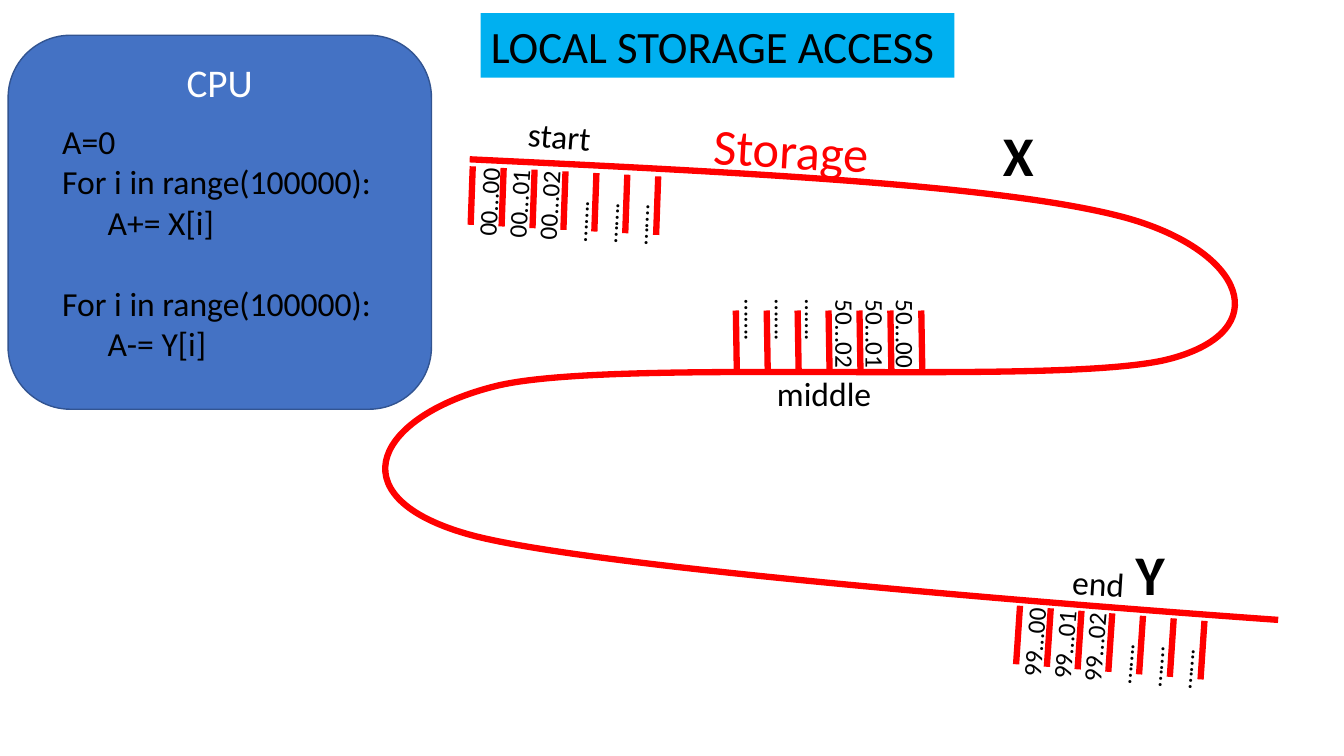
from dataclasses import dataclass

from pptx import Presentation
from pptx.dml.color import RGBColor
from pptx.enum import shapes as kinds, text as txt
from pptx.oxml import parse_xml
from pptx.oxml.ns import nsdecls
from pptx.util import Pt


@dataclass(frozen=True)
class Theme:
    font: str = "Calibri"
    ink: str = "000000"
    white: str = "FFFFFF"
    red: str = "FF0000"
    blue: str = "4472C4"
    edge: str = "325491"
    cyan: str = "00B0F0"
    cell: int = 18
    body: int = 24
    head: int = 28
    title: int = 32
    store: int = 36
    mark: int = 40
    band: float = 4.5


T = Theme()


def rgb(code):
    return RGBColor.from_string(code)


def write(para, words, size, color=T.ink, bold=False):
    run = para.add_run()
    run.text = words
    run.font.name = T.font
    run.font.size = Pt(size)
    run.font.bold = bold
    run.font.color.rgb = rgb(color)


def place(shape, box):
    shape.left, shape.top, shape.width, shape.height = (Pt(v) for v in box)


def label(parent, box, lines, size, color=T.ink, bold=False, turn=0, wrap=True):
    """Add a text box with one paragraph for each line."""
    item = parent.add_textbox(*(Pt(v) for v in box))
    item.rotation = turn
    frame = item.text_frame
    frame.word_wrap = wrap
    for n, words in enumerate(lines):
        para = frame.add_paragraph() if n else frame.paragraphs[0]
        write(para, words, size, color, bold)
    return frame


def stroke(parent, start, end):
    line = parent.add_connector(kinds.MSO_CONNECTOR.STRAIGHT,
                                *(Pt(v) for v in (*start, *end)))
    line.line.color.rgb = rgb(T.red)
    line.line.width = Pt(T.band)
    line._element.spPr.append(parse_xml(f"<a:effectLst {nsdecls('a')}/>"))


# Knots and handles of the storage band, from its box corner
BAND = [(65.5, 41.8),
        (259.2, 51.1), (452.9, 60.5), (536.4, 84.2),
        (619.2, 108), (641.5, 164.2), (565.9, 184.3),
        (490.3, 204.5), (168.5, 182.9), (84.2, 203.8),
        (0, 224.6), (-31, 281.5), (61.9, 308.9),
        (154.8, 337), (643, 370.8), (643, 370.8)]
BEND = (5, 262)  # leftmost point of the band

# Captions: words, box, size, color, turn
NAMES = [("Storage", (232.6, 10.1, 159, 51), T.store, T.red, 3.4),
         ("start", (100.1, 7.2, 61.2, 36), T.body, T.ink, 4.7),
         ("end", (488.9, 328.3, 108, 36), T.body, T.ink, 3.7),
         ("middle", (277.9, 190.8, 108, 36), T.body, T.ink, 0)]

# Cells: prefix, list corner, turn, first tick start and end, step
CELLS = [("00", (112.3, -4.3), 273.3, (66.2, 88.6), (67.7, 46.8), (22.08, 1.2)),
         ("50", (279.4, 87.1), 90, (255.6, 149.8), (256.3, 191.5), (22.08, 0)),
         ("99", (501.8, 311.8), 274.8, (455.8, 402.5), (458.6, 360.7), (21.96, 1.8))]

MARKS = [("X", (439.2, 10.8)), ("Y", (534.2, 309.6))]


def curve(parent, knots, bend):
    """Draw cubic curves; the knots' ends and the bend span the frame."""
    first, last = knots[0], knots[-1]
    pen = parent.build_freeform(*(Pt(v) for v in first))
    pen.add_line_segments([tuple(Pt(v) for v in p) for p in (bend, last)], close=False)
    band = pen.convert_to_shape()
    outline = band._element.xpath(".//a:path")[0]
    for line in outline.xpath("a:lnTo"):
        outline.remove(line)
    for n in range(1, len(knots), 3):
        points = "".join(f'<a:pt x="{Pt(px - bend[0])}" y="{Pt(py - first[1])}"/>'
                         for px, py in knots[n:n + 3])
        outline.append(parse_xml(
            f"<a:cubicBezTo {nsdecls('a')}>{points}</a:cubicBezTo>"))
    band.shadow.inherit = False
    band.fill.background()
    band.line.color.rgb = rgb(T.red)
    band.line.width = Pt(T.band)


def storage(slide, x, y):
    group = slide.shapes.add_group_shape().shapes

    def at(point):
        return x + point[0], y + point[1]

    # Winding band
    curve(group, [at(p) for p in BAND], at(BEND))

    # Captions
    for words, box, size, color, turn in NAMES:
        label(group, (*at(box), *box[2:]), [words], size, color, turn=turn)

    # Addresses and cell walls
    for code, corner, turn, start, end, (dx, dy) in CELLS:
        lines = [f"{code}…{n:02}" for n in range(3)] + ["……."] * 3
        label(group, (*at(corner), 64, 160), lines, T.cell, turn=turn, wrap=False)
        for n in range(7):
            stroke(group, *(at((px + n * dx, py + n * dy)) for px, py in (start, end)))

    # Array marks
    for words, corner in MARKS:
        label(slide.shapes, (*at(corner), 42, 55), [words], T.mark, bold=True)


def cpu(slide, x, y, w, h):
    # Rounded panel
    panel = slide.shapes.add_shape(kinds.MSO_SHAPE.ROUNDED_RECTANGLE,
                                   *(Pt(v) for v in (x, y, w, h)))
    panel.shadow.inherit = False
    panel.fill.solid()
    panel.fill.fore_color.rgb = rgb(T.blue)
    panel.line.color.rgb = rgb(T.edge)
    panel.line.width = Pt(1)
    frame = panel.text_frame
    frame.vertical_anchor = txt.MSO_ANCHOR.TOP
    frame.paragraphs[0].alignment = txt.PP_ALIGN.CENTER
    write(frame.paragraphs[0], "CPU", T.head, T.white)

    # Code, with indented loop bodies
    lines = ["A=0", "For i in range(100000):", "A+= X[i]",
             "For i in range(100000):", "A-= Y[i]"]
    code = label(slide.shapes, (x + 31.6, y + 57.6, 242.6, 211), lines, T.body)
    for n in (2, 4):
        code.paragraphs[n]._p.get_or_add_pPr().set("marL", str(Pt(32.5)))
    code.paragraphs[3].space_before = Pt(29)


def heading(slide, *box):
    title = slide.shapes.title
    place(title, box)
    title.fill.solid()
    title.fill.fore_color.rgb = rgb(T.cyan)
    frame = title.text_frame
    frame.word_wrap = True
    frame.auto_size = txt.MSO_AUTO_SIZE.NONE
    frame.vertical_anchor = txt.MSO_ANCHOR.TOP
    frame.paragraphs[0].alignment = txt.PP_ALIGN.LEFT
    write(frame.paragraphs[0], "LOCAL STORAGE ACCESS", T.title)


def main():
    deck = Presentation()
    deck.slide_width, deck.slide_height = Pt(960), Pt(540)
    slide = deck.slides.add_slide(deck.slide_layouts[5])
    heading(slide, 343.4, 9.4, 338.4, 46)
    storage(slide, 270, 72)
    cpu(slide, 5.8, 25.2, 302.4, 267.1)
    deck.save("out.pptx")


if __name__ == "__main__":
    main()
